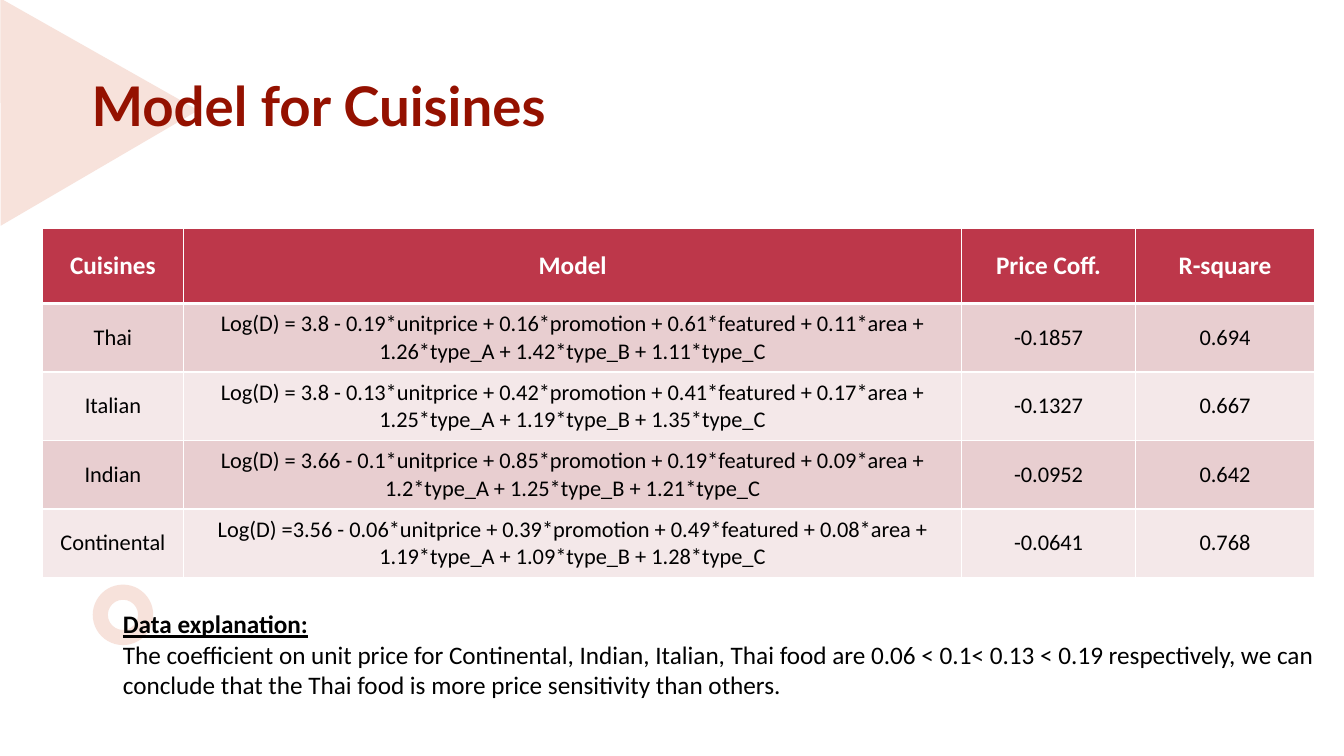
from dataclasses import dataclass

import pptx
import pptx.dml.color
import pptx.enum.shapes
import pptx.enum.text
import pptx.oxml
import pptx.oxml.ns
import pptx.util
from pptx.util import Inches

SHAPE = pptx.enum.shapes.MSO_SHAPE
ANCHOR = pptx.enum.text.MSO_ANCHOR
ALIGN = pptx.enum.text.PP_ALIGN


@dataclass(frozen=True)
class Theme:
    title_font: str = "Lato"
    body_font: str = "Calibri"
    title_size: int = 39
    heading_size: int = 18
    cell_size: int = 16
    title: str = "941100"
    text: str = "000000"
    white: str = "FFFFFF"
    accent: str = "F7E2DB"
    header: str = "BD374A"
    bands: tuple = ("E8CED0", "F4E8E9")
    thin: int = 1
    thick: int = 3


THEME = Theme()
COLUMN_WIDTHS = (1.4, 7.72, 1.72, 1.78)
HEADER_HEIGHT, ROW_HEIGHT = 0.74, 0.68
MODEL_ROWS = (
    ("Cuisines", "Model", "Price Coff.", "R-square"),
    ("Thai",
     "Log(D) = 3.8 - 0.19*unitprice + 0.16*promotion + 0.61*featured + 0.11*area + "
     "1.26*type_A + 1.42*type_B + 1.11*type_C", "-0.1857", "0.694"),
    ("Italian",
     "Log(D) = 3.8 - 0.13*unitprice + 0.42*promotion + 0.41*featured + 0.17*area + "
     "1.25*type_A + 1.19*type_B + 1.35*type_C", "-0.1327", "0.667"),
    ("Indian",
     "Log(D) = 3.66 - 0.1*unitprice + 0.85*promotion + 0.19*featured + 0.09*area + "
     "1.2*type_A + 1.25*type_B + 1.21*type_C", "-0.0952", "0.642"),
    ("Continental",
     "Log(D) =3.56 - 0.06*unitprice + 0.39*promotion + 0.49*featured + 0.08*area + "
     "1.19*type_A + 1.09*type_B + 1.28*type_C", "-0.0641", "0.768"),
)
EXPLANATION = (
    "The coefficient on unit price for Continental, Indian, Italian, Thai food are "
    "0.06 < 0.1< 0.13 < 0.19 respectively, we can conclude that the Thai food is more "
    "price sensitivity than others."
)


def rgb(value):
    return pptx.dml.color.RGBColor.from_string(value)


def add_span(para, text, size, color, font=THEME.body_font, bold=False, underline=False):
    span = para.add_run()
    span.text = text
    span.font.name = font
    span.font.size = pptx.util.Pt(size)
    span.font.bold = bold
    span.font.underline = underline
    span.font.color.rgb = rgb(color)


def add_accent(page, kind, left, top, width, height, rotation=0):
    shape = page.shapes.add_shape(
        kind, Inches(left), Inches(top), Inches(width), Inches(height))
    shape.rotation = rotation
    shape.shadow.inherit = False
    shape.fill.solid()
    shape.fill.fore_color.rgb = rgb(THEME.accent)
    shape.line.fill.background()


def add_text_box(page, left, top, width, height, anchor=ANCHOR.TOP):
    box = page.shapes.add_textbox(
        Inches(left), Inches(top), Inches(width), Inches(height))
    box.text_frame.word_wrap = True
    box.text_frame.vertical_anchor = anchor
    return box.text_frame


def set_borders(cell, top, bottom):
    """Draw white cell edges, with the top and bottom widths in points."""
    widths = {"lnL": THEME.thin, "lnR": THEME.thin, "lnT": top, "lnB": bottom}
    properties = cell._tc.get_or_add_tcPr()
    for index, (tag, width) in enumerate(widths.items()):
        edge = pptx.oxml.parse_xml(
            f'<a:{tag} {pptx.oxml.ns.nsdecls("a")} w="{pptx.util.Pt(width)}">'
            f'<a:solidFill><a:srgbClr val="{THEME.white}"/></a:solidFill></a:{tag}>')
        properties.insert(index, edge)


def fill_cell(cell, text, row):
    is_header = row == 0
    cell.vertical_anchor = ANCHOR.MIDDLE
    cell.fill.solid()
    cell.fill.fore_color.rgb = rgb(
        THEME.header if is_header else THEME.bands[(row - 1) % 2])
    set_borders(cell, THEME.thick if row == 1 else THEME.thin,
                THEME.thick if is_header else THEME.thin)
    para = cell.text_frame.paragraphs[0]
    para.alignment = ALIGN.CENTER
    if is_header:
        add_span(para, text, THEME.heading_size, THEME.white, bold=True)
    else:
        add_span(para, text, THEME.cell_size, THEME.text)


def add_model_table(page, left, top):
    heights = [HEADER_HEIGHT] + [ROW_HEIGHT] * (len(MODEL_ROWS) - 1)
    table = page.shapes.add_table(
        len(MODEL_ROWS), len(COLUMN_WIDTHS), Inches(left), Inches(top),
        Inches(sum(COLUMN_WIDTHS)), Inches(sum(heights))).table
    for column, width in zip(table.columns, COLUMN_WIDTHS):
        column.width = Inches(width)
    for row, (height, texts) in enumerate(zip(heights, MODEL_ROWS)):
        table.rows[row].height = Inches(height)
        for column, text in enumerate(texts):
            fill_cell(table.cell(row, column), text, row)


def add_title(page):
    frame = add_text_box(page, 0.81, 0.34, 12.42, 1.48, ANCHOR.MIDDLE)
    para = frame.paragraphs[0]
    para.line_spacing = 0.9
    add_span(para, "Model for Cuisines", THEME.title_size, THEME.title,
             font=THEME.title_font, bold=True)


def add_explanation(page):
    frame = add_text_box(page, 1.12, 5.99, 12.05, 1.01)
    add_span(frame.paragraphs[0], "Data explanation:", THEME.heading_size, THEME.text,
             bold=True, underline=True)
    add_span(frame.add_paragraph(), EXPLANATION, THEME.heading_size, THEME.text)


def main():
    deck = pptx.Presentation()
    deck.slide_width, deck.slide_height = Inches(13.33), Inches(7.5)
    page = deck.slides.add_slide(deck.slide_layouts[6])
    add_model_table(page, 0.42, 2.27)
    add_accent(page, SHAPE.ISOSCELES_TRIANGLE, -0.64, -0.15, 2.27, 1.95, rotation=329.7)
    add_title(page)
    add_accent(page, SHAPE.DONUT, 0.92, 5.8, 0.6, 0.6)
    add_explanation(page)
    deck.save("out.pptx")


if __name__ == "__main__":
    main()
